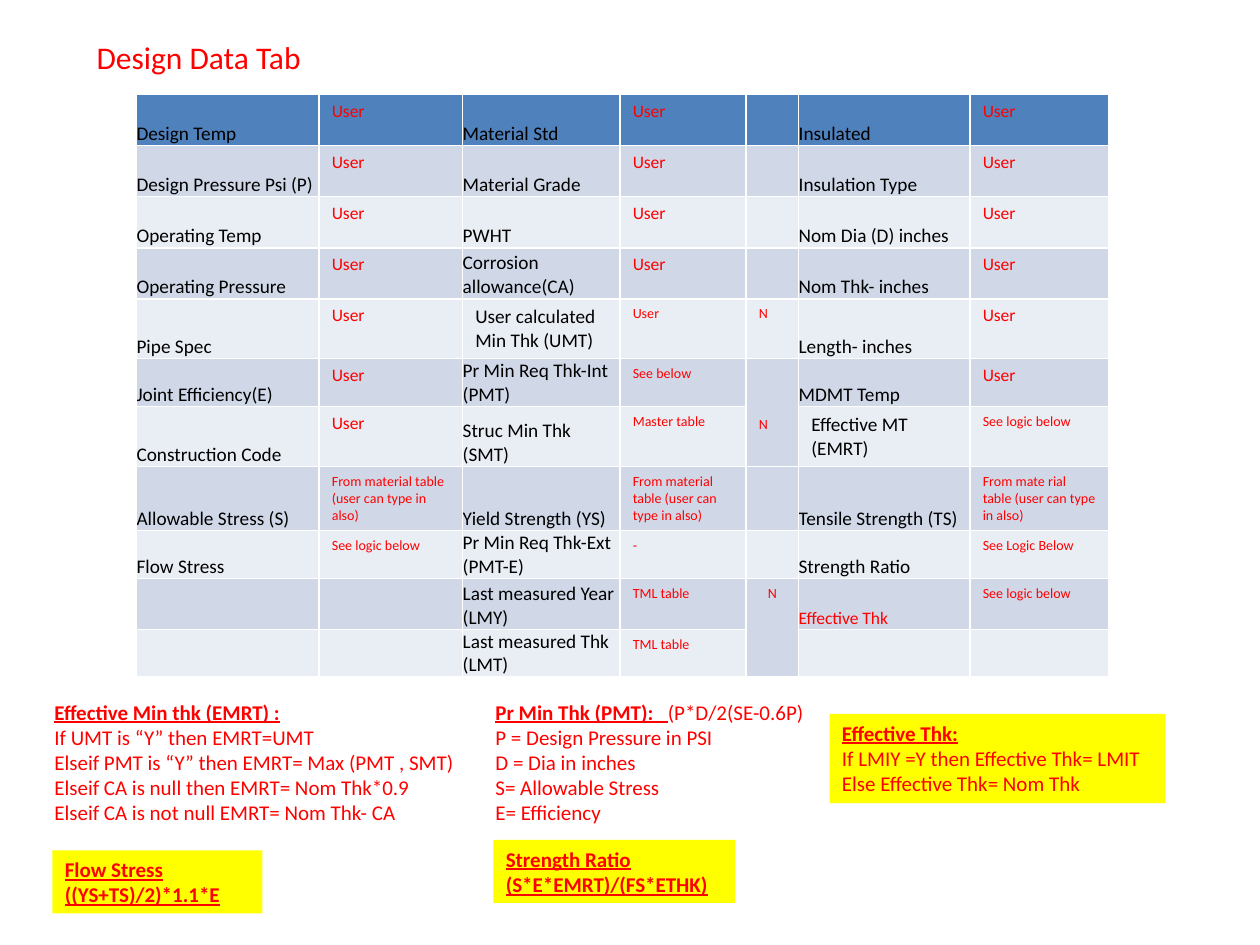
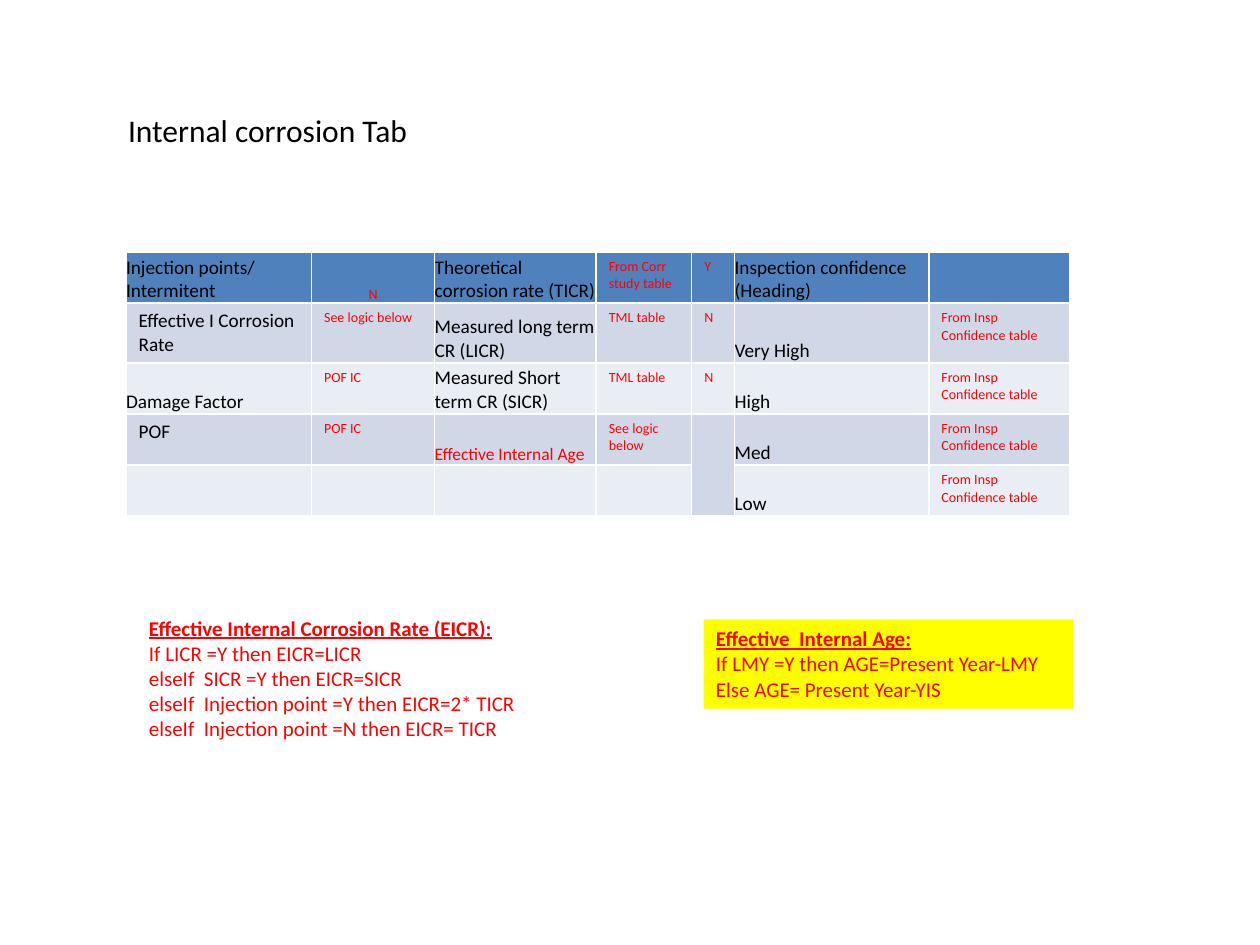
import pptx
import pptx.util
import pptx.dml.color
import pptx.enum.shapes
import pptx.enum.text

Pt = pptx.util.Pt
ANCHOR = pptx.enum.text.MSO_ANCHOR
ALIGN = pptx.enum.text.PP_ALIGN

# Shared look
FONT = "Calibri"
RED, BLACK, YELLOW = "FF0000", "000000", "FFFF00"
HEADER, BANDS = "4F81BD", ("D0D8E8", "E9EDF4")
LABEL_COLUMNS = (0, 2, 5)
FLUSH, PADDED = (0, 0, 0, 0), (7.2, 3.6, 7.2, 3.6)  # left, top, right, bottom

# Cell styles: size, colour, anchor, alignment, margins
CELL_STYLES = {
    "empty": (8, BLACK, ANCHOR.TOP, ALIGN.LEFT, FLUSH),
    "label": (11, BLACK, ANCHOR.BOTTOM, ALIGN.LEFT, FLUSH),
    "inset": (11, BLACK, ANCHOR.TOP, ALIGN.LEFT, PADDED),
    "derived": (10, RED, ANCHOR.BOTTOM, ALIGN.LEFT, FLUSH),
    "user": (10, RED, ANCHOR.TOP, ALIGN.LEFT, PADDED),
    "note": (8, RED, ANCHOR.TOP, ALIGN.LEFT, PADDED),
    "centred": (8, RED, ANCHOR.TOP, ALIGN.CENTER, PADDED),
    "bottom": (8, RED, ANCHOR.BOTTOM, ALIGN.CENTER, FLUSH),
    "lowered": (8, RED, ANCHOR.TOP, ALIGN.LEFT, (7.2, 32.9, 7.2, 3.6)),
}

# Content: a cell is its text, or (text, style) where it departs from its column
MATERIAL = "From material table (user can type in also)"
CONFIDENCE = "From Insp Confidence table"

DESIGN_ROWS = [
    ["Design Temp", "User", "Material Std", "User", "", "Insulated", "User"],
    ["Design Pressure Psi (P)", "User", "Material Grade", "User", "", "Insulation Type", "User"],
    ["Operating Temp", "User", "PWHT", "User", "", "Nom Dia (D) inches", "User"],
    ["Operating Pressure", "User", "Corrosion allowance(CA)", "User", "", "Nom Thk- inches", "User"],
    ["Pipe Spec", "User", ("User calculated Min Thk (UMT)", "inset"), ("User", "note"), "N",
     "Length- inches", "User"],
    ["Joint Efficiency(E)", "User", "Pr Min Req Thk-Int (PMT)", "See below", ("N", "lowered"),
     "MDMT Temp", "User"],
    ["Construction Code", "User", "Struc Min Thk (SMT)", "Master table", "",
     ("Effective MT (EMRT)", "inset"), "See logic below"],
    ["Allowable Stress (S)", MATERIAL, "Yield Strength (YS)", MATERIAL, "",
     "Tensile Strength (TS)", "From mate rial table (user can type in also)"],
    ["Flow Stress", "See logic below", "Pr Min Req Thk-Ext (PMT-E)", "-", "",
     "Strength Ratio", "See Logic Below"],
    ["", "", "Last measured Year (LMY)", "TML table", ("N", "centred"),
     ("Effective Thk", "derived"), "See logic below"],
    ["", "", "Last measured Thk (LMT)", "TML table", "", "", ""],
]

CORROSION_ROWS = [
    ["Injection points/ Intermitent", ("N", "bottom"), "Theoretical corrosion rate (TICR)",
     "From Corr study table", "Y", "Inspection confidence (Heading)", ""],
    [("Effective I Corrosion Rate", "inset"), "See logic below", "Measured long term CR (LICR)",
     "TML table", "N", "Very High", CONFIDENCE],
    ["Damage Factor", "POF IC", "Measured Short term CR (SICR)", "TML table", "N",
     "High", CONFIDENCE],
    [("POF", "inset"), "POF IC", ("Effective Internal Age", "derived"), "See logic below", "",
     "Med", CONFIDENCE],
    ["", "", "", "", "", "Low", CONFIDENCE],
]

# Formula paragraphs are (underlined heading, plain text)
SLIDES = [
    {
        "title": ("Design Data Tab", RED, (48, 18, 132.5, 29)),
        "table": {
            "at": (78, 54),
            "rows": DESIGN_ROWS,
            "widths": [104.4, 82, 90, 72, 30, 98, 79.2],
            "heights": [29.2] * 4 + [34.2, 27.4, 34.2, 36.6, 27.4, 29.2, 27.2],
            "merges": [(5, 4), (9, 4)],
        },
        "formulas": [
            ((24, 396, 258, 80), None, [
                ("Effective Min thk (EMRT) :", ""),
                ("", "If UMT is “Y” then EMRT=UMT"),
                ("", "Elseif PMT is “Y” then EMRT= Max (PMT , SMT)"),
                ("", "Elseif CA is null then EMRT= Nom Thk*0.9"),
                ("", "Elseif CA is not null EMRT= Nom Thk- CA")]),
            ((276, 396, 198, 80), None, [
                ("Pr Min Thk (PMT):   ", "(P*D/2(SE-0.6P)"),
                ("", "P = Design Pressure in PSI"),
                ("", "D = Dia in inches"),
                ("", "S= Allowable Stress"),
                ("", "E= Efficiency")]),
            ((30, 486, 120, 36), YELLOW, [
                ("Flow Stress", ""),
                ("((YS+TS)/2)*1.1*E", "")]),
            ((282, 480, 138, 36), YELLOW, [
                ("Strength Ratio", ""),
                ("(S*E*EMRT)/(FS*ETHK)", "")]),
            ((474, 408, 192, 51), YELLOW, [
                ("Effective Thk:", ""),
                ("", "If LMIY =Y then Effective Thk= LMIT"),
                ("", "Else Effective Thk= Nom Thk")]),
        ],
    },
    {
        "title": ("Internal corrosion Tab", BLACK, (66, 60, 175.7, 29)),
        "table": {
            "at": (72, 144),
            "rows": CORROSION_ROWS,
            "widths": [106, 70.4, 92.3, 54.6, 24.5, 111, 80.6],
            "heights": [29.2, 34.2] + [29.2] * 3,
            "merges": [(3, 4)],
        },
        "formulas": [
            ((78, 348, 240, 80), None, [
                ("Effective Internal Corrosion Rate (EICR):", ""),
                ("", "If LICR =Y then EICR=LICR"),
                ("", "elseIf  SICR =Y then EICR=SICR"),
                ("", "elseIf  Injection point =Y then EICR=2* TICR"),
                ("", "elseIf  Injection point =N then EICR= TICR")]),
            ((402, 354, 211.5, 51), YELLOW, [
                ("Effective  Internal Age:", ""),
                ("", "If LMY =Y then AGE=Present Year-LMY"),
                ("", "Else AGE= Present Year-YIS")]),
        ],
    },
]


def rgb(color):
    return pptx.dml.color.RGBColor.from_string(color)


def style_run(r, size, color, emphasis=False):
    r.font.name, r.font.size = FONT, Pt(size)
    r.font.color.rgb = rgb(color)
    r.font.bold = r.font.underline = emphasis


def add_title(s, text, color, box):
    sp = s.shapes.title
    sp.left, sp.top, sp.width, sp.height = map(Pt, box)
    tf = sp.text_frame
    tf.text = text
    tf.word_wrap = False
    tf.auto_size = pptx.enum.text.MSO_AUTO_SIZE.SHAPE_TO_FIT_TEXT
    tf.vertical_anchor = ANCHOR.TOP
    p = tf.paragraphs[0]
    p.alignment = ALIGN.LEFT
    style_run(p.runs[0], 18, color)


def cell_style(text, column):
    if not text:
        return "empty"
    if column in LABEL_COLUMNS:
        return "label"
    return "user" if text == "User" else "note"


def fill_cell(cell, content, row, column):
    if isinstance(content, tuple):
        text, style = content
    else:
        text, style = content, cell_style(content, column)
    size, color, anchor, align, margins = CELL_STYLES[style]
    cell.fill.solid()
    cell.fill.fore_color.rgb = rgb(BANDS[(row - 1) % 2] if row else HEADER)
    cell.vertical_anchor = anchor
    cell.margin_left, cell.margin_top, cell.margin_right, cell.margin_bottom = map(Pt, margins)
    cell.text_frame.text = text
    p = cell.text_frame.paragraphs[0]
    p.alignment = align
    for r in p.runs:
        style_run(r, size, color)


def add_data_table(s, at, rows, widths, heights, merges):
    box = (*at, sum(widths), sum(heights))
    table = s.shapes.add_table(len(rows), len(widths), *map(Pt, box)).table
    for column, width in zip(table.columns, widths):
        column.width = Pt(width)
    for row, height in zip(table.rows, heights):
        row.height = Pt(height)
    for i, row in enumerate(rows):
        for j, content in enumerate(row):
            fill_cell(table.cell(i, j), content, i, j)
    for i, j in merges:
        table.cell(i, j).merge(table.cell(i + 1, j))


def add_formula(s, box, fill, paragraphs):
    if fill:
        rect = pptx.enum.shapes.MSO_SHAPE.RECTANGLE
        sp = s.shapes.add_shape(rect, *map(Pt, box))
        sp.shadow.inherit = False
        sp.fill.solid()
        sp.fill.fore_color.rgb = rgb(fill)
        sp.line.fill.background()
    else:
        sp = s.shapes.add_textbox(*map(Pt, box))
    tf = sp.text_frame
    tf.word_wrap = True
    tf.auto_size = pptx.enum.text.MSO_AUTO_SIZE.SHAPE_TO_FIT_TEXT
    tf.vertical_anchor = ANCHOR.TOP
    for i, (heading, plain) in enumerate(paragraphs):
        p = tf.add_paragraph() if i else tf.paragraphs[0]
        p.alignment = ALIGN.LEFT
        for text, emphasis in ((heading, True), (plain, False)):
            if text:
                r = p.add_run()
                r.text = text
                style_run(r, 12, RED, emphasis)


def main():
    prs = pptx.Presentation()
    prs.slide_width, prs.slide_height = Pt(720), Pt(540)
    title_only = prs.slide_layouts[5]
    for content in SLIDES:
        s = prs.slides.add_slide(title_only)
        add_data_table(s, **content["table"])
        add_title(s, *content["title"])
        for formula in content["formulas"]:
            add_formula(s, *formula)
    prs.save("out.pptx")


if __name__ == "__main__":
    main()
